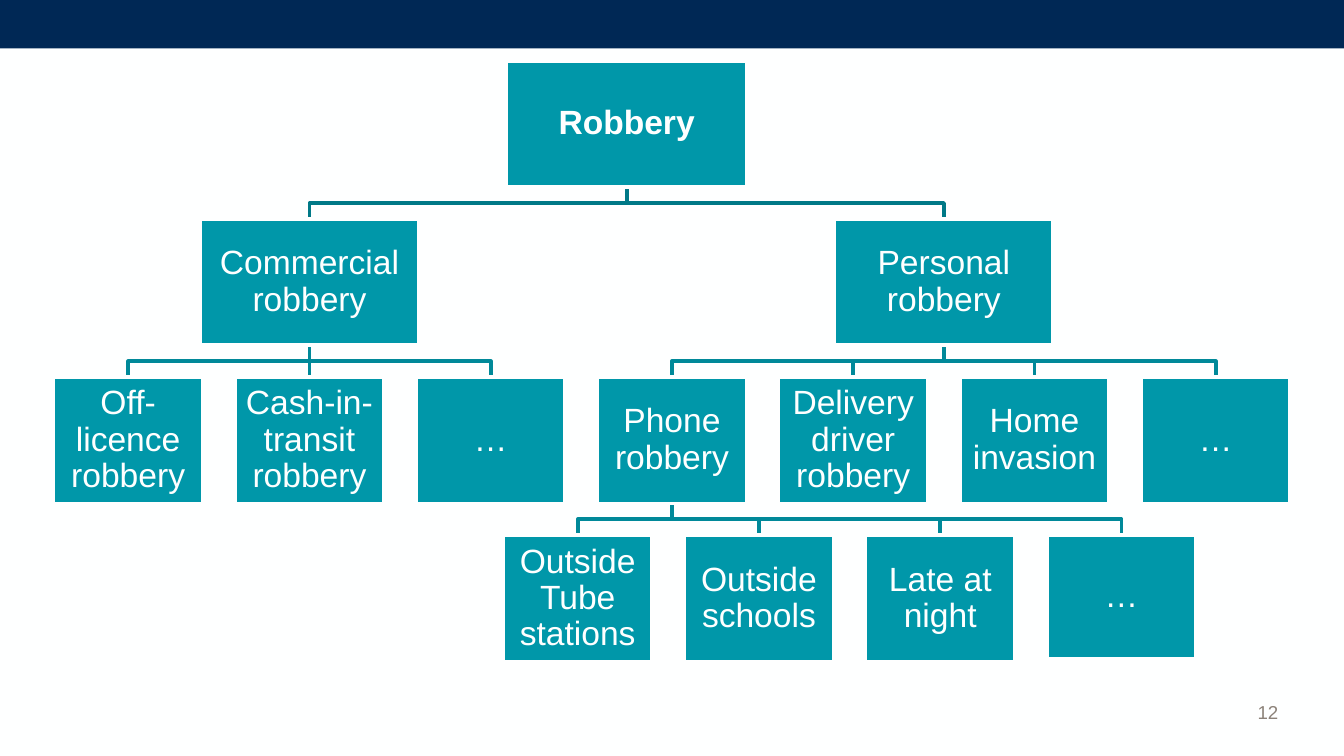
from dataclasses import dataclass

from lxml import etree
from pptx import Presentation
from pptx.dml.color import RGBColor
from pptx.enum.shapes import MSO_CONNECTOR, MSO_SHAPE
from pptx.enum.text import MSO_ANCHOR, PP_ALIGN
from pptx.oxml.ns import qn
from pptx.slide import Slide
from pptx.util import Pt

RECTANGLE = MSO_SHAPE.RECTANGLE
STRAIGHT = MSO_CONNECTOR.STRAIGHT
MIDDLE, BOTTOM = MSO_ANCHOR.MIDDLE, MSO_ANCHOR.BOTTOM
CENTER, RIGHT = PP_ALIGN.CENTER, PP_ALIGN.RIGHT

WHITE = RGBColor(0xFE, 0xFF, 0xFF)
NAVY = RGBColor(0x00, 0x28, 0x55)
TEAL = RGBColor(0x00, 0x97, 0xA9)
TOP_LINK = RGBColor(0x00, 0x79, 0x87)
LOWER_LINK = RGBColor(0x00, 0x89, 0x99)
GREY = RGBColor(0x8C, 0x82, 0x79)
FONT = "Arial"

# Grid of the chart, in points
FIRST_CENTER, COLUMN_PITCH = 68.7, 97.1
FIRST_TOP, ROW_PITCH, BOX_HEIGHT = 32.5, 84.74, 67.8
LEAF_WIDTH, BRANCH_WIDTH, ROOT_WIDTH = 80, 117.2, 129
LINE_WIDTH = 2


@dataclass(frozen=True)
class Node:
    text: str
    column: float
    row: int
    width: float = LEAF_WIDTH
    height: float = BOX_HEIGHT
    children: tuple["Node", ...] = ()

    @property
    def center(self) -> float:
        return FIRST_CENTER + self.column * COLUMN_PITCH

    @property
    def top(self) -> float:
        return FIRST_TOP + self.row * ROW_PITCH


# Content
PHONE_SETTINGS = (
    Node("Outside Tube stations", 2.48, 3),
    Node("Outside schools", 3.48, 3),
    Node("Late at night", 4.48, 3),
    Node("…", 5.48, 3, height=66.2),
)
COMMERCIAL_TYPES = (
    Node("Off-licence robbery", 0, 2),
    Node("Cash-in-transit robbery", 1, 2),
    Node("…", 2, 2),
)
PERSONAL_TYPES = (
    Node("Phone robbery", 3, 2, children=PHONE_SETTINGS),
    Node("Delivery driver robbery", 4, 2),
    Node("Home invasion", 5, 2),
    Node("…", 6, 2),
)
BRANCHES = (
    Node("Commercial robbery", 1, 1, BRANCH_WIDTH, children=COMMERCIAL_TYPES),
    Node("Personal robbery", 4.5, 1, BRANCH_WIDTH, children=PERSONAL_TYPES),
)
ROBBERY = Node("Robbery", 2.75, 0, ROOT_WIDTH, children=BRANCHES)


def add_text(shape, text: str, size: float, color: RGBColor, alignment,
             bold: bool = False) -> None:
    paragraph = shape.text_frame.paragraphs[0]
    paragraph.alignment = alignment
    run = paragraph.add_run()
    run.text = text
    run.font.name = FONT
    run.font.size = Pt(size)
    run.font.bold = bold
    run.font.color.rgb = color


def add_link(slide: Slide, parent: Node, child: Node) -> None:
    start = parent.top + parent.height
    middle = (start + child.top) / 2
    if parent.column == child.column:
        link = slide.shapes.add_connector(
            STRAIGHT, Pt(parent.center), Pt(start), Pt(child.center), Pt(child.top))
        etree.SubElement(link._element.spPr, qn("a:effectLst"))
    else:
        builder = slide.shapes.build_freeform(Pt(parent.center), Pt(start))
        corners = ((parent.center, middle), (child.center, middle),
                   (child.center, child.top))
        builder.add_line_segments([(Pt(x), Pt(y)) for x, y in corners], close=False)
        link = builder.convert_to_shape()
        link.fill.background()
        link.shadow.inherit = False
    link.line.color.rgb = TOP_LINK if parent.row == 0 else LOWER_LINK
    link.line.width = Pt(LINE_WIDTH)


def add_links(slide: Slide, node: Node) -> None:
    for child in node.children:
        add_link(slide, node, child)
        add_links(slide, child)


def add_boxes(slide: Slide, node: Node) -> None:
    shape = slide.shapes.add_shape(
        RECTANGLE, Pt(node.center - node.width / 2), Pt(node.top),
        Pt(node.width), Pt(node.height))
    shape.shadow.inherit = False
    shape.fill.solid()
    shape.fill.fore_color.rgb = TEAL
    shape.line.color.rgb = WHITE
    shape.line.width = Pt(LINE_WIDTH)
    frame = shape.text_frame
    frame.word_wrap = True
    frame.vertical_anchor = MIDDLE
    frame.margin_left = frame.margin_right = Pt(0.9)
    frame.margin_top = frame.margin_bottom = Pt(0.9)
    frame.paragraphs[0].line_spacing = 0.9
    add_text(shape, node.text, 18, WHITE, CENTER, bold=node.row == 0)
    for child in node.children:
        add_boxes(slide, child)


def main() -> None:
    presentation = Presentation()
    presentation.slide_width, presentation.slide_height = Pt(720), Pt(405)
    slide = presentation.slides.add_slide(presentation.slide_layouts[6])
    slide.background.fill.solid()
    slide.background.fill.fore_color.rgb = WHITE

    # Top band
    band = slide.shapes.add_shape(RECTANGLE, 0, 0, Pt(720), Pt(26))
    band.shadow.inherit = False
    band.fill.solid()
    band.fill.fore_color.rgb = NAVY
    band.line.fill.background()

    # Page number
    number = slide.shapes.add_textbox(Pt(635), Pt(359.3), Pt(56.9), Pt(31.7))
    number.text_frame.word_wrap = True
    number.text_frame.vertical_anchor = BOTTOM
    add_text(number, "12", 10, GREY, RIGHT)

    # Tree: links behind boxes
    add_links(slide, ROBBERY)
    add_boxes(slide, ROBBERY)

    presentation.save("out.pptx")


if __name__ == "__main__":
    main()
